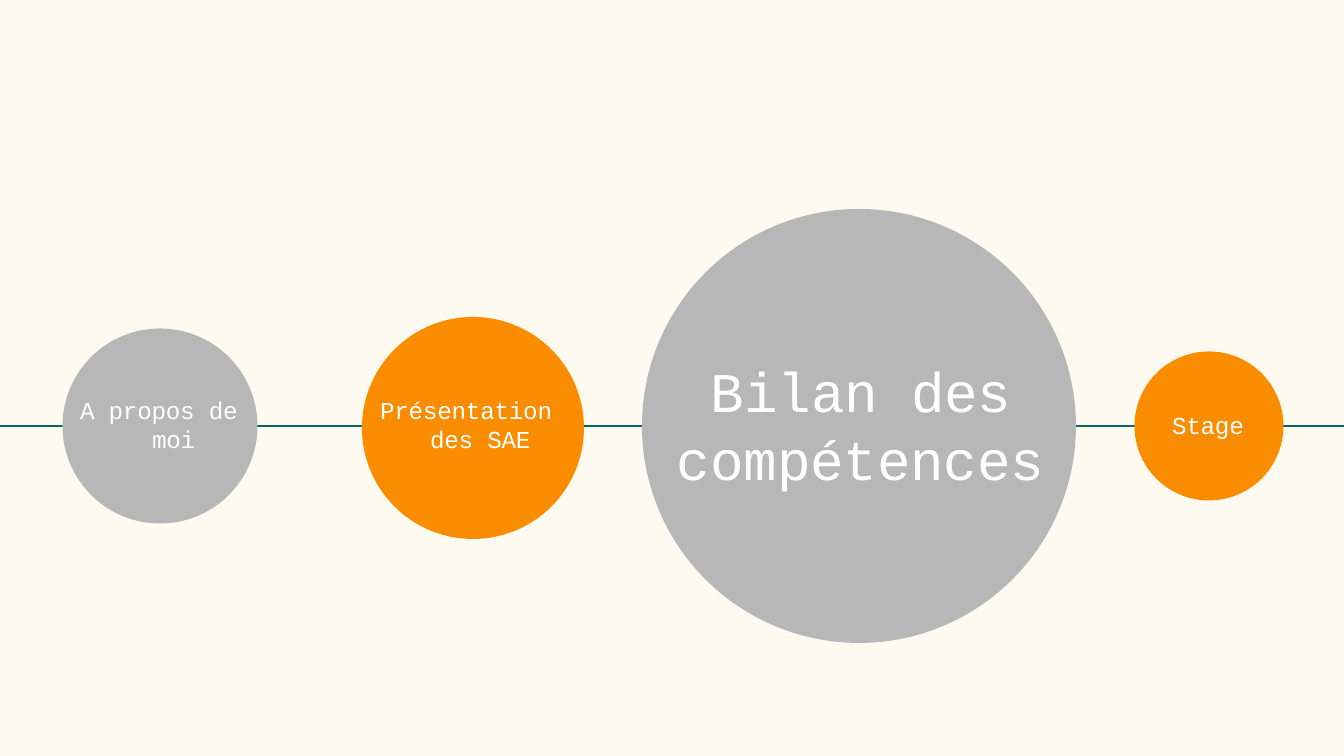
from lxml.etree import SubElement
from pptx import Presentation
from pptx.dml.color import RGBColor
from pptx.enum.shapes import MSO_CONNECTOR as Conn, MSO_SHAPE as Shape
from pptx.oxml.ns import qn
from pptx.util import Pt

PX = 914400 / 134.4
WIDE, HIGH = 1344, 756
AXIS = 426
FONT = "Courier New"

CREAM = RGBColor(0xFF, 0xFA, 0xF0)
GREEN = RGBColor(0x00, 0x68, 0x5C)
GRAY = RGBColor(0xB7, 0xB7, 0xB7)
ORANGE = RGBColor(0xFA, 0x8C, 0x00)
WHITE = RGBColor(0xFF, 0xFF, 0xFF)

# centre x, centre y, diameter, fill
CIRCLES = [
    (160, AXIS, 195, GRAY),
    (859, AXIS, 434, GRAY),
    (473, AXIS + 2, 222, ORANGE),
    (1209, AXIS, 149, ORANGE),
]

# text, box (left, top, width, height), points, left margin, first-line indent
LABELS = [
    ("A propos de moi", (78, 394, 164, 62), 13, 74, -72),
    ("Bilan des compétences", (676, 356, 374, 138), 30, 1, 34),
    ("Stage", (1171, 409, 77, 32), 13, 1, 0),
    ("Présentation des SAE", (378, 394, 179, 62), 13, 52, -50),
]


def emu(px):
    return round(px * PX)


def add_axis(shapes):
    line = shapes.add_connector(Conn.STRAIGHT, 0, emu(AXIS), emu(WIDE), emu(AXIS))
    line.line.color.rgb = GREEN
    line.line.width = Pt(1.5)
    SubElement(line._element.spPr, qn("a:effectLst"))


def add_circle(shapes, x, y, size, fill):
    box = (x - size / 2, y - size / 2, size, size)
    disc = shapes.add_shape(Shape.OVAL, *map(emu, box))
    disc.shadow.inherit = False
    disc.fill.solid()
    disc.fill.fore_color.rgb = fill
    disc.line.fill.background()


def add_label(shapes, text, box, size, margin, indent):
    frame = shapes.add_textbox(*map(emu, box)).text_frame
    frame.word_wrap = True
    frame.margin_left = frame.margin_right = frame.margin_bottom = 0
    frame.margin_top = emu(1)
    frame.text = text
    para = frame.paragraphs[0]
    para.space_before = Pt(1)
    props = para._p.get_or_add_pPr()
    props.set("marL", str(emu(margin)))
    props.set("indent", str(emu(indent)))
    run = para.runs[0]
    run.font.name = FONT
    run.font.size = Pt(size)
    run.font.color.rgb = WHITE
    run._r.get_or_add_rPr().set("spc", "-10")


def main():
    deck = Presentation()
    deck.slide_width, deck.slide_height = emu(WIDE), emu(HIGH)
    slide = deck.slides.add_slide(deck.slide_layouts[6])
    slide.background.fill.solid()
    slide.background.fill.fore_color.rgb = CREAM
    add_axis(slide.shapes)
    for circle in CIRCLES:
        add_circle(slide.shapes, *circle)
    for label in LABELS:
        add_label(slide.shapes, *label)
    deck.save("out.pptx")


if __name__ == "__main__":
    main()
